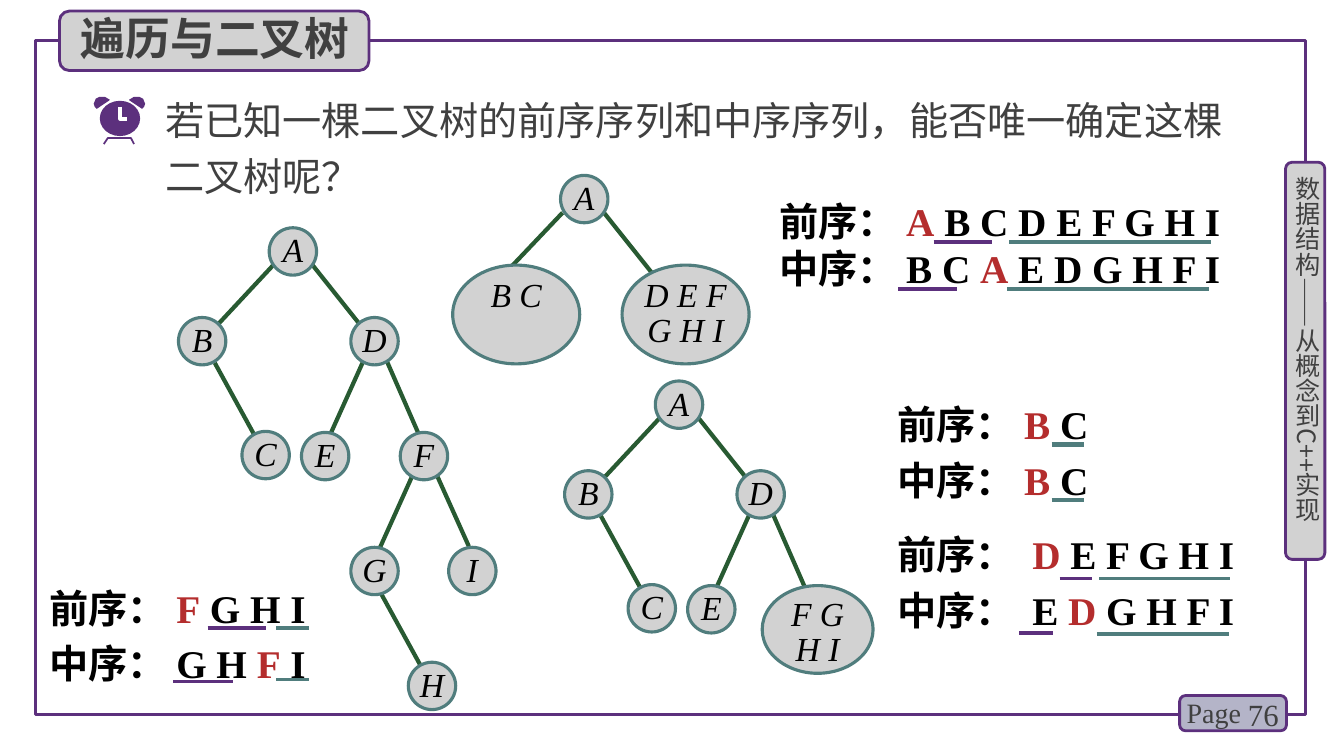
import pptx
import pptx.dml.color
import pptx.enum.shapes
import pptx.enum.text
import pptx.oxml.ns
import pptx.util
from lxml import etree
from pptx.dml.color import RGBColor
from pptx.util import Inches

PURPLE = RGBColor(0x5C, 0x30, 0x7D)
TEAL = RGBColor(0x50, 0x7D, 0x7D)
GREEN = RGBColor(0x28, 0x5A, 0x32)
RED = RGBColor(0xB4, 0x2D, 0x2D)
GREY = RGBColor(0xD2, 0xD2, 0xD2)
LILAC = RGBColor(0xB4, 0xB4, 0xC8)
DARK = RGBColor(0x40, 0x40, 0x40)
BLACK = RGBColor(0, 0, 0)
WHITE = RGBColor(0xFF, 0xFF, 0xFF)
CJK, LATIN = "Noto Sans CJK SC", "Times New Roman"
SHAPE = pptx.enum.shapes.MSO_SHAPE
ALIGN = pptx.enum.text.PP_ALIGN
ANCHOR = pptx.enum.text.MSO_ANCHOR
qn = pptx.oxml.ns.qn


def style_run(run, size, color, name, bold=False, italic=False):
    """Format a run, using the Chinese font for East Asian letters."""
    font = run.font
    font.size = pptx.util.Pt(size)
    font.color.rgb = color
    font.name, font.bold, font.italic = name, bold, italic
    etree.SubElement(run._r.get_or_add_rPr(), qn("a:ea")).set("typeface", CJK)


def paint(shape, fill, line, width):
    """Set fill and outline; None means no fill or no line."""
    shape.shadow.inherit = False
    if fill is None:
        shape.fill.background()
    else:
        shape.fill.solid()
        shape.fill.fore_color.rgb = fill
    if line is None:
        shape.line.fill.background()
    else:
        shape.line.color.rgb = line
        shape.line.width = pptx.util.Pt(width)


presentation = pptx.Presentation()
presentation.slide_width, presentation.slide_height = Inches(13.33), Inches(7.5)
slide = presentation.slides.add_slide(presentation.slide_layouts[5])
shapes = slide.shapes

# Frame and plates
for kind, place, fill, width in [
    (SHAPE.RECTANGLE, (0.35, 0.4, 12.6, 6.69), None, 2.25),
    (SHAPE.ROUNDED_RECTANGLE, (11.7, 6.9, 1.06, 0.35), LILAC, 2),
    (SHAPE.ROUNDED_RECTANGLE, (12.75, 1.61, 0.39, 3.94), GREY, 2),
    (SHAPE.ROUNDED_RECTANGLE, (0.59, 0.11, 3.07, 0.59), GREY, 2),
]:
    paint(shapes.add_shape(kind, *map(Inches, place)), fill, PURPLE, width)

title = shapes.title
shapes._spTree.append(title._element)
title.left, title.top, title.width, title.height = map(Inches, (0.7, 0.05, 2.97, 0.64))
title.text_frame.text = "遍历与二叉树"
title.text_frame.vertical_anchor = ANCHOR.MIDDLE
title.text_frame.paragraphs[0].alignment = ALIGN.LEFT
style_run(title.text_frame.paragraphs[0].runs[0], 32, DARK, CJK, bold=True)

# Question, side label and page number
question = "若已知一棵二叉树的前序序列和中序序列，能否唯一确定这棵二叉树呢？"
for text, place, size, font, spacing, vertical in [
    (question, (1.54, 0.82, 10.86, 1.22), 28, CJK, 40, False),
    ("数据结构——从概念到C++实现", (12.82, 1.75, 0.3, 3.78), 18, CJK, None, True),
    ("Page", (11.67, 6.85, 0.78, 0.44), 20, LATIN, None, False),
    ("76", (12.17, 6.85, 0.61, 0.44), 22, LATIN, None, False),
]:
    frame = shapes.add_textbox(*map(Inches, place)).text_frame
    frame.word_wrap = True
    frame.text = text
    if vertical:
        frame._txBody.bodyPr.set("vert", "eaVert")
        frame.margin_left = frame.margin_right = 0
        frame.margin_top = frame.margin_bottom = 0
    if spacing:
        frame.paragraphs[0].line_spacing = pptx.util.Pt(spacing)
    if text == "76":
        frame.paragraphs[0].alignment = ALIGN.RIGHT
    style_run(frame.paragraphs[0].runs[0], size, DARK, font)

# Alarm clock
face = shapes.add_shape(SHAPE.OVAL, *map(Inches, (0.99, 1, 0.4, 0.35)))
paint(face, PURPLE, None, 0)
left_bell = [(0.96, 1.08), (0.94, 1.06), (0.93, 1.03), (0.95, 0.98),
             (0.99, 0.96), (1.04, 0.96), (1.09, 0.99), (1.08, 1)]
right_bell = [(2.37 - x, y) for x, y in left_bell]
hands = [(1.19, 1.06), (1.19, 1.18), (1.26, 1.18)]
legs = [(1.03, 1.43), (1.07, 1.37), (1.3, 1.37), (1.33, 1.43)]
for points, fill, line, width in [
    (left_bell, PURPLE, None, 0), (right_bell, PURPLE, None, 0),
    (hands, None, WHITE, 2.25), (legs, None, PURPLE, 1.25),
]:
    corners = [(Inches(x), Inches(y)) for x, y in points]
    builder = shapes.build_freeform(*corners[0])
    builder.add_line_segments(corners[1:], close=fill is not None)
    paint(builder.convert_to_shape(), fill, line, width)

# Sequences: the root of each is red
for left, top, width, height, start, gap, root, preorder, inorder in [
    (7.63, 1.9, 4.75, 1.03, 1.26, 0, "A", "A B C D E F G H I", "B C A E D G H F I"),
    (8.8, 3.92, 2.38, 1.13, 1.26, 5.5, "B", "B C", "B C"),
    (8.8, 5.21, 3.93, 1.13, 1.34, 5.5, "D", "D E F G H I", "E D G H F I"),
    (0.39, 5.74, 3.02, 1.13, 1.26, 5.5, "F", "F G H I", "G H F I"),
]:
    frame = shapes.add_textbox(*map(Inches, (left, top, width, height))).text_frame
    frame.word_wrap = True
    for label, sequence in [("前序：", preorder), ("中序：", inorder)]:
        is_first = label == "前序："
        row = frame.paragraphs[0] if is_first else frame.add_paragraph()
        row.line_spacing = pptx.util.Pt(34)
        row.space_before = pptx.util.Pt(0 if is_first else gap)
        tabs = etree.SubElement(row._p.get_or_add_pPr(), qn("a:tabLst"))
        etree.SubElement(tabs, qn("a:tab"), pos=str(Inches(start)), algn="l")
        before, _, after = sequence.partition(root)
        for text, color, font in [(label + "\t", BLACK, CJK), (before, BLACK, LATIN),
                                  (root, RED, LATIN), (after, BLACK, LATIN)]:
            if text:
                run = row.add_run()
                run.text = text
                style_run(run, 28, color, font, bold=True)

# Lines: underlines of the subtrees, then tree edges
lines = [
    (x1, y, x2, y, color, width) for x1, x2, y, color, width in [
        (9.26, 9.84, 2.4, PURPLE, 3), (10.01, 12.01, 2.4, TEAL, 3),
        (8.91, 9.49, 2.87, PURPLE, 3), (9.99, 11.99, 2.87, TEAL, 3),
        (10.43, 10.75, 4.41, TEAL, 3), (10.43, 10.75, 4.96, TEAL, 3),
        (10.51, 10.83, 5.74, PURPLE, 2.25), (10.9, 12.2, 5.74, TEAL, 2.25),
        (10.11, 10.44, 6.28, PURPLE, 2.25), (10.88, 12.19, 6.29, TEAL, 2.25),
        (2.06, 2.64, 6.23, PURPLE, 2.25), (2.74, 3.06, 6.23, TEAL, 2.25),
        (1.72, 2.31, 6.76, PURPLE, 2.25), (2.74, 3.06, 6.74, TEAL, 2.25),
    ]
]
edges = [(5.58, 2.11, 5.02, 2.7), (5.99, 2.11, 6.46, 2.7),
         (4.09, 4.72, 3.77, 5.43), (4.34, 4.73, 4.65, 5.42),
         (4.17, 6.6, 3.78, 5.89)]
nodes = [("A", 5.56, 1.74, 0.47, 0.47), ("B C", 4.49, 2.63, 1.26, 0.98),
         ("D E F\nG H I", 6.17, 2.63, 1.26, 0.98), ("F G\nH I", 7.56, 5.81, 1.1, 0.87),
         ("F", 3.97, 4.29, 0.47, 0.47), ("G", 3.48, 5.43, 0.47, 0.47),
         ("I", 4.45, 5.43, 0.47, 0.47), ("H", 4.05, 6.57, 0.47, 0.47)]

# The upper part A to E appears in two trees
for dx, dy in [(2.67, 2.26), (6.5, 3.78)]:
    for x1, y1, x2, y2 in [(0.43, 0.37, 0.9, 0.96), (0.05, 0.36, -0.5, 0.95),
                           (-0.15, 2.05, -0.54, 1.34), (0.93, 1.33, 0.61, 2.04),
                           (1.17, 1.33, 1.48, 2.04)]:
        edges.append((x1 + dx, y1 + dy, x2 + dx, y2 + dy))
    for label, x, y in [("A", 0, 0), ("B", -0.9, 0.89), ("C", -0.27, 2.02),
                        ("D", 0.81, 0.89), ("E", 0.32, 2.03)]:
        nodes.append((label, x + dx, y + dy, 0.47, 0.47))

lines += [(*edge, GREEN, 3) for edge in edges]
for x1, y1, x2, y2, color, width in lines:
    line = shapes.add_connector(pptx.enum.shapes.MSO_CONNECTOR.STRAIGHT,
                                *map(Inches, (x1, y1, x2, y2)))
    line.line.color.rgb = color
    line.line.width = pptx.util.Pt(width)
    etree.SubElement(line._element.spPr, qn("a:effectLst"))

for label, *place in nodes:
    node = shapes.add_shape(SHAPE.OVAL, *map(Inches, place))
    paint(node, GREY, TEAL, 2.25)
    frame = node.text_frame
    frame.margin_left = frame.margin_right = frame.margin_top = frame.margin_bottom = 0
    frame.vertical_anchor = ANCHOR.TOP
    frame.word_wrap = False
    frame.text = label
    for paragraph in frame.paragraphs:
        paragraph.alignment = ALIGN.CENTER
        paragraph.line_spacing = pptx.util.Pt(25)
        style_run(paragraph.runs[0], 24, BLACK, LATIN, italic=True)

presentation.save("out.pptx")
